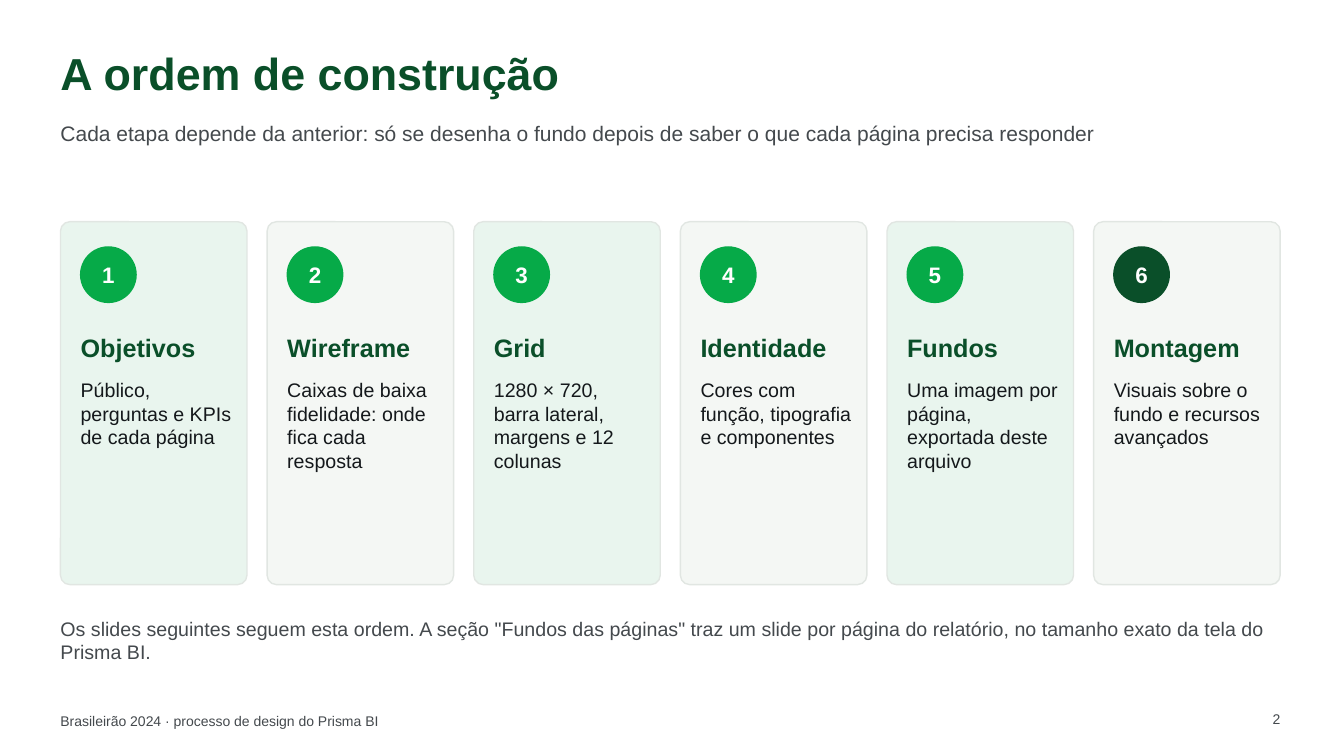
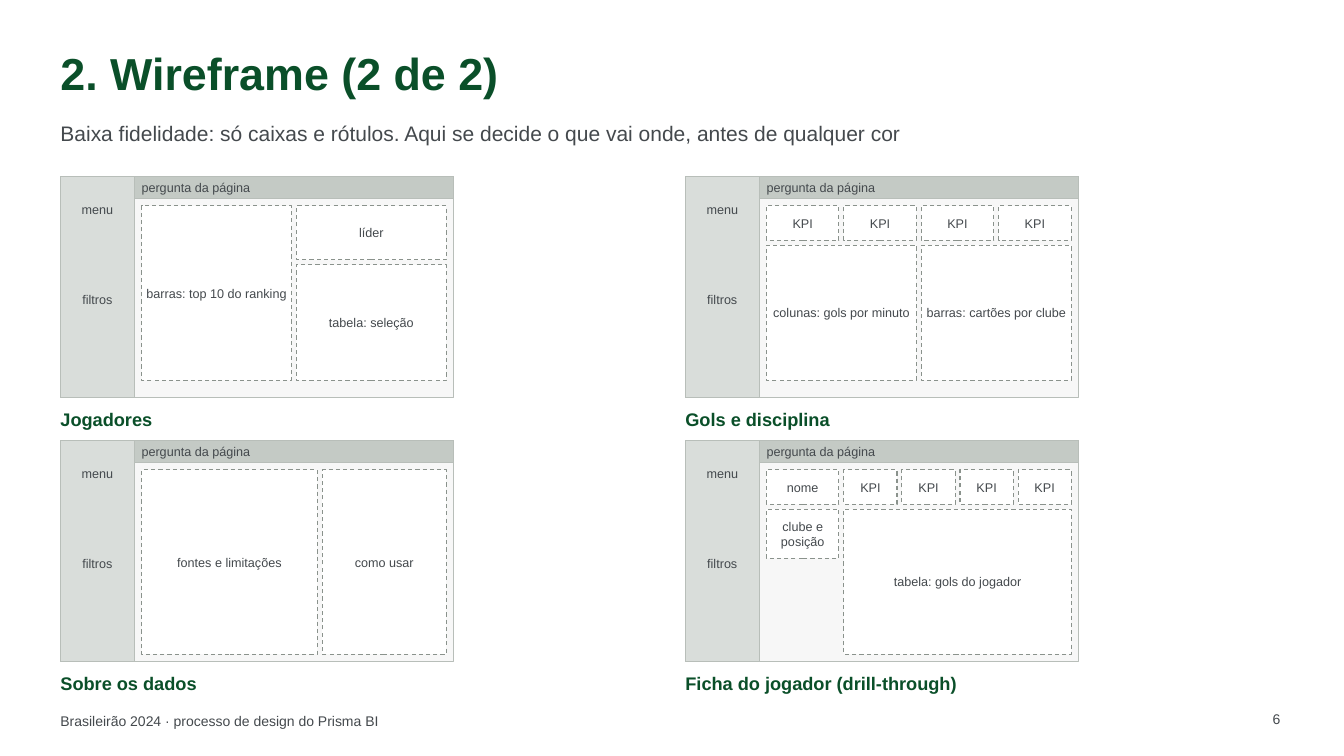
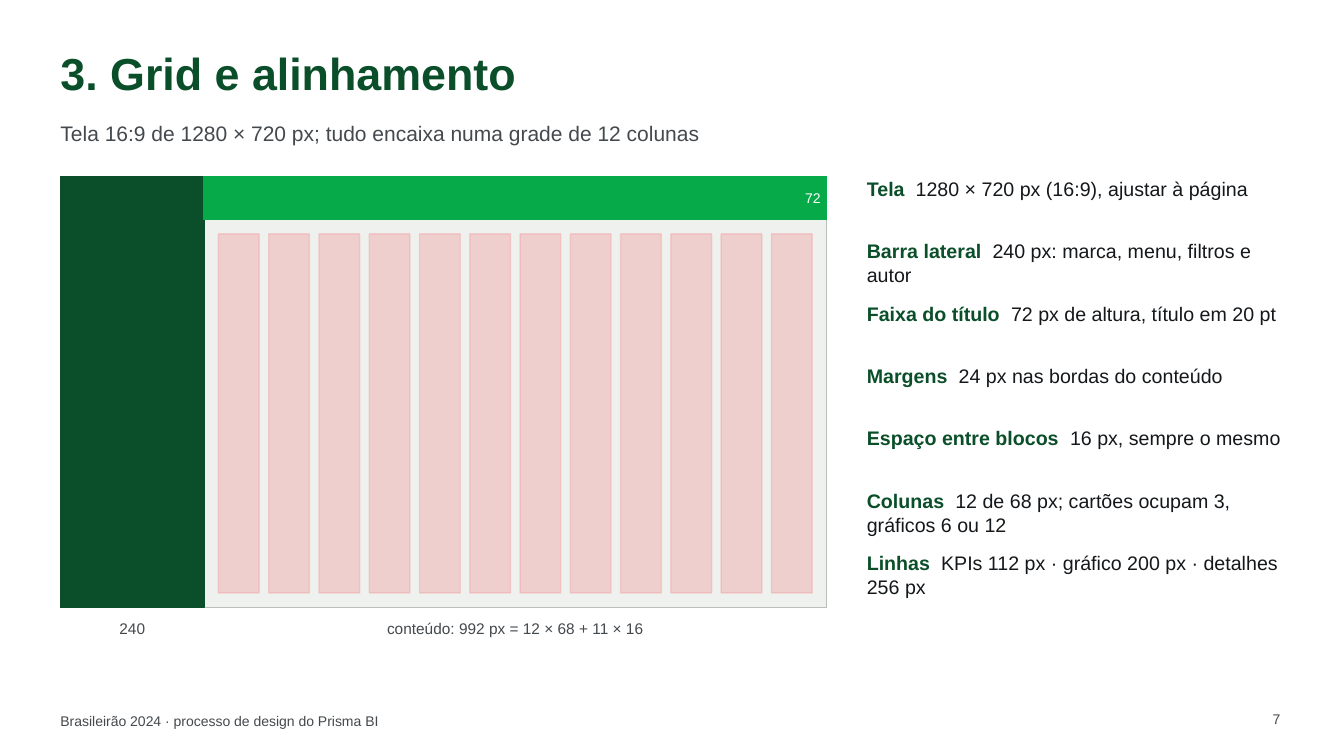
from lxml import etree
from pptx import Presentation
from pptx.dml.color import RGBColor
from pptx.enum.dml import MSO_LINE
from pptx.enum.shapes import MSO_SHAPE
from pptx.enum.text import MSO_ANCHOR, MSO_AUTO_SIZE, PP_ALIGN
from pptx.oxml.ns import qn
from pptx.util import Pt

DARK_GREEN = RGBColor(0x0A, 0x4F, 0x29)
GREEN = RGBColor(0x06, 0xAA, 0x48)
PALE_GREEN = RGBColor(0xE9, 0xF5, 0xEE)
PALE_GRAY = RGBColor(0xF4, 0xF7, 0xF4)
CARD_LINE = RGBColor(0xE1, 0xE6, 0xE2)
INK = RGBColor(0x14, 0x18, 0x1B)
GRAY = RGBColor(0x44, 0x49, 0x4D)
WHITE = RGBColor(0xFF, 0xFF, 0xFF)
FRAME_FILL = RGBColor(0xF7, 0xF7, 0xF7)
FRAME_LINE = RGBColor(0xB8, 0xBE, 0xB9)
SIDEBAR = RGBColor(0xD9, 0xDD, 0xDA)
HEADER = RGBColor(0xC4, 0xCA, 0xC5)
DASH = RGBColor(0x8A, 0x92, 0x8C)
CANVAS = RGBColor(0xEE, 0xF1, 0xEE)
PINK = RGBColor(0xF2, 0xA7, 0xA7)

FONT = "Arial"
LEFT, WIDTH = 43.2, 871.2
TOP = 126
PX_W, PX_H = 1280, 720
SIDE_PX, HEAD_PX, MARGIN_PX, GAP_PX, COLUMN_PX = 240, 72, 24, 16, 68
CONTENT_X, CONTENT_Y = SIDE_PX + MARGIN_PX, HEAD_PX + MARGIN_PX
CONTENT_W = 12 * COLUMN_PX + 11 * GAP_PX


def box(slide, x, y, w, h, fill=None, line=None, line_width=1, kind=MSO_SHAPE.RECTANGLE):
    area = Pt(x), Pt(y), Pt(w), Pt(h)
    if fill is None:
        return slide.shapes.add_textbox(*area)
    shape = slide.shapes.add_shape(kind, *area)
    shape.shadow.inherit = False
    shape.fill.solid()
    shape.fill.fore_color.rgb = fill
    shape.line.color.rgb = line
    shape.line.width = Pt(line_width)
    return shape


def write(shape, text, size, color, bold=False, align=PP_ALIGN.LEFT, anchor=MSO_ANCHOR.MIDDLE):
    frame = shape.text_frame
    frame.margin_left = frame.margin_right = frame.margin_top = frame.margin_bottom = 0
    frame.word_wrap = True
    frame.auto_size = MSO_AUTO_SIZE.NONE
    frame.vertical_anchor = anchor
    paragraph = frame.paragraphs[0]
    paragraph.alignment = align
    run = paragraph.add_run()
    run.text = text
    run.font.name = FONT
    run.font.size = Pt(size)
    run.font.bold = bold
    run.font.color.rgb = color
    return run


prs = Presentation()
prs.slide_width, prs.slide_height = Pt(960), Pt(540)
layout = prs.slide_layouts[1]

headings = [
    ("A ordem de construção",
     "Cada etapa depende da anterior: só se desenha o fundo depois de saber o que cada página precisa responder", "2"),
    ("2. Wireframe (2 de 2)",
     "Baixa fidelidade: só caixas e rótulos. Aqui se decide o que vai onde, antes de qualquer cor", "6"),
    ("3. Grid e alinhamento",
     "Tela 16:9 de 1280 × 720 px; tudo encaixa numa grade de 12 colunas", "7"),
]
for heading, subtitle, page in headings:
    slide = prs.slides.add_slide(layout)
    title, body = slide.placeholders
    for holder, y, h in ((title, 25.2, 54), (body, 79.2, 32.4)):
        holder.left, holder.top, holder.width, holder.height = Pt(LEFT), Pt(y), Pt(WIDTH), Pt(h)
    write(title, heading, 32, DARK_GREEN, True)
    write(body, subtitle, 15, GRAY)
    paragraph = body.text_frame.paragraphs[0]
    paragraph.space_before = Pt(0)
    properties = paragraph._p.get_or_add_pPr()
    properties.set("marL", "0")
    properties.set("indent", "0")
    etree.SubElement(properties, qn("a:buNone"))

    number = box(slide, 878.4, 504, 43.2, 21.6)
    write(number, page, 10, GRAY, align=PP_ALIGN.RIGHT, anchor=MSO_ANCHOR.TOP)
    number.text_frame.margin_right = Pt(7.2)
    number.text_frame.margin_top = Pt(3.6)

order_slide, wireframe_slide, grid_slide = prs.slides

footer = box(order_slide, LEFT, 504, 576, 21.6)
write(footer, "Brasileirão 2024 · processo de design do Prisma BI", 10, GRAY)
footer.element.nvSpPr.cNvPr.set("id", "20")
prs.slide_master.shapes.element.append(footer.element)

steps = [
    ("Objetivos", "Público, perguntas e KPIs de cada página"),
    ("Wireframe", "Caixas de baixa fidelidade: onde fica cada resposta"),
    ("Grid", "1280 × 720, barra lateral, margens e 12 colunas"),
    ("Identidade", "Cores com função, tipografia e componentes"),
    ("Fundos", "Uma imagem por página, exportada deste arquivo"),
    ("Montagem", "Visuais sobre o fundo e recursos avançados"),
]
for i, (name, detail) in enumerate(steps):
    x = LEFT + i * 147.6
    card = box(order_slide, x, 158.4, 133.2, 259.2, PALE_GRAY if i % 2 else PALE_GREEN,
               CARD_LINE, kind=MSO_SHAPE.ROUNDED_RECTANGLE)
    card.adjustments[0] = 0.05
    x += 14.4
    badge_color = DARK_GREEN if i == len(steps) - 1 else GREEN
    badge = box(order_slide, x, 176.4, 39.6, 39.6, badge_color, badge_color, kind=MSO_SHAPE.OVAL)
    write(badge, str(i + 1), 16, WHITE, True, PP_ALIGN.CENTER)
    write(box(order_slide, x, 230.4, 108, 36), name, 18, DARK_GREEN, True)
    write(box(order_slide, x, 270, 108, 129.6), detail, 14, INK, anchor=MSO_ANCHOR.TOP)
write(box(order_slide, LEFT, 439.2, WIDTH, 36),
      'Os slides seguintes seguem esta ordem. A seção "Fundos das páginas" traz um slide por página '
      "do relatório, no tamanho exato da tela do Prisma BI.", 14, GRAY)

half = (CONTENT_W - GAP_PX) / 2
quarter = (CONTENT_W - 3 * GAP_PX) / 4
seven_columns = 7 * COLUMN_PX + 6 * GAP_PX
five_columns = 5 * COLUMN_PX + 4 * GAP_PX
player_x = quarter + GAP_PX
player_w = CONTENT_W - player_x
player_kpi = (player_w - 3 * GAP_PX) / 4
wireframes = [
    ("Jogadores", [
        ("barras: top 10 do ranking", 0, 0, half, 568),
        ("líder", half + GAP_PX, 0, half, 176),
        ("tabela: seleção", half + GAP_PX, 192, half, 376),
    ]),
    ("Gols e disciplina", [
        *[("KPI", i * (quarter + GAP_PX), 0, quarter, 112) for i in range(4)],
        ("colunas: gols por minuto", 0, 128, half, 440),
        ("barras: cartões por clube", half + GAP_PX, 128, half, 440),
    ]),
    ("Sobre os dados", [
        ("fontes e limitações", 0, 0, seven_columns, 600),
        ("como usar", seven_columns + GAP_PX, 0, five_columns, 600),
    ]),
    ("Ficha do jogador (drill-through)", [
        ("nome", 0, 0, quarter, 112),
        *[("KPI", player_x + i * (player_kpi + GAP_PX), 0, player_kpi, 112) for i in range(4)],
        ("clube e posição", 0, 128, quarter, 160),
        ("tabela: gols do jogador", player_x, 128, player_w, 472),
    ]),
]
frame_w = 280.8
scale = frame_w / PX_W
frame_h, side, head = PX_H * scale, SIDE_PX * scale, HEAD_PX * scale
for i, (caption, blocks) in enumerate(wireframes):
    x = LEFT + i % 2 * 446.4
    y = TOP + i // 2 * 188.6
    box(wireframe_slide, x, y, frame_w, frame_h, FRAME_FILL, FRAME_LINE)
    box(wireframe_slide, x, y, side, frame_h, SIDEBAR, FRAME_LINE, 0.5)
    box(wireframe_slide, x + side, y, frame_w - side, head, HEADER, FRAME_LINE, 0.5)
    write(box(wireframe_slide, x + CONTENT_X * scale, y, 700 * scale, head), "pergunta da página", 9, GRAY)
    for label, label_y in (("menu", 88), ("filtros", 380)):
        write(box(wireframe_slide, x, y + label_y * scale, side, 40 * scale),
              label, 9, GRAY, align=PP_ALIGN.CENTER)
    for label, block_x, block_y, block_w, block_h in blocks:
        block = box(wireframe_slide, x + (CONTENT_X + block_x) * scale, y + (CONTENT_Y + block_y) * scale,
                    block_w * scale, block_h * scale, WHITE, DASH, 0.75)
        block.line.dash_style = MSO_LINE.DASH
        write(block, label, 9, GRAY, align=PP_ALIGN.CENTER)
    write(box(wireframe_slide, x, y + 162, frame_w, 23), caption, 13, DARK_GREEN, True)

canvas_w = 547.2
scale = canvas_w / PX_W
canvas_h, side, head = PX_H * scale, SIDE_PX * scale, HEAD_PX * scale
content_left = LEFT + CONTENT_X * scale
box(grid_slide, LEFT, TOP, canvas_w, canvas_h, CANVAS, FRAME_LINE)
box(grid_slide, LEFT, TOP, side, canvas_h, DARK_GREEN, DARK_GREEN)
box(grid_slide, LEFT + side, TOP, canvas_w - side, head, GREEN, GREEN)
for i in range(12):
    column = box(grid_slide, content_left + i * (COLUMN_PX + GAP_PX) * scale, TOP + CONTENT_Y * scale,
                 COLUMN_PX * scale, 600 * scale, PINK, PINK)
    for color in column.element.spPr.iter(qn("a:srgbClr")):
        etree.SubElement(color, qn("a:alpha")).set("val", "45000")
write(box(grid_slide, LEFT, 437.8, side, 21.6), "240", 11, GRAY, align=PP_ALIGN.CENTER)
write(box(grid_slide, content_left, 437.8, CONTENT_W * scale, 21.6),
      "conteúdo: 992 px = 12 × 68 + 11 × 16", 11, GRAY, align=PP_ALIGN.CENTER)
write(box(grid_slide, LEFT + 1210 * scale, TOP + 18 * scale, 60 * scale, 36 * scale),
      "72", 10, WHITE, align=PP_ALIGN.RIGHT)

specs = [
    ("Tela", "1280 × 720 px (16:9), ajustar à página"),
    ("Barra lateral", "240 px: marca, menu, filtros e autor"),
    ("Faixa do título", "72 px de altura, título em 20 pt"),
    ("Margens", "24 px nas bordas do conteúdo"),
    ("Espaço entre blocos", "16 px, sempre o mesmo"),
    ("Colunas", "12 de 68 px; cartões ocupam 3, gráficos 6 ou 12"),
    ("Linhas", "KPIs 112 px · gráfico 200 px · detalhes 256 px"),
]
for i, (name, detail) in enumerate(specs):
    spec = box(grid_slide, 619.2, TOP + i * 44.64, 302.4, 39.6)
    write(spec, name, 14, DARK_GREEN, True, anchor=MSO_ANCHOR.TOP)
    gap = write(spec, " ", 14, DARK_GREEN, True, anchor=MSO_ANCHOR.TOP)
    gap.font._element.set("spc", "390")
    write(spec, detail, 14, INK, anchor=MSO_ANCHOR.TOP)

prs.save("out.pptx")
